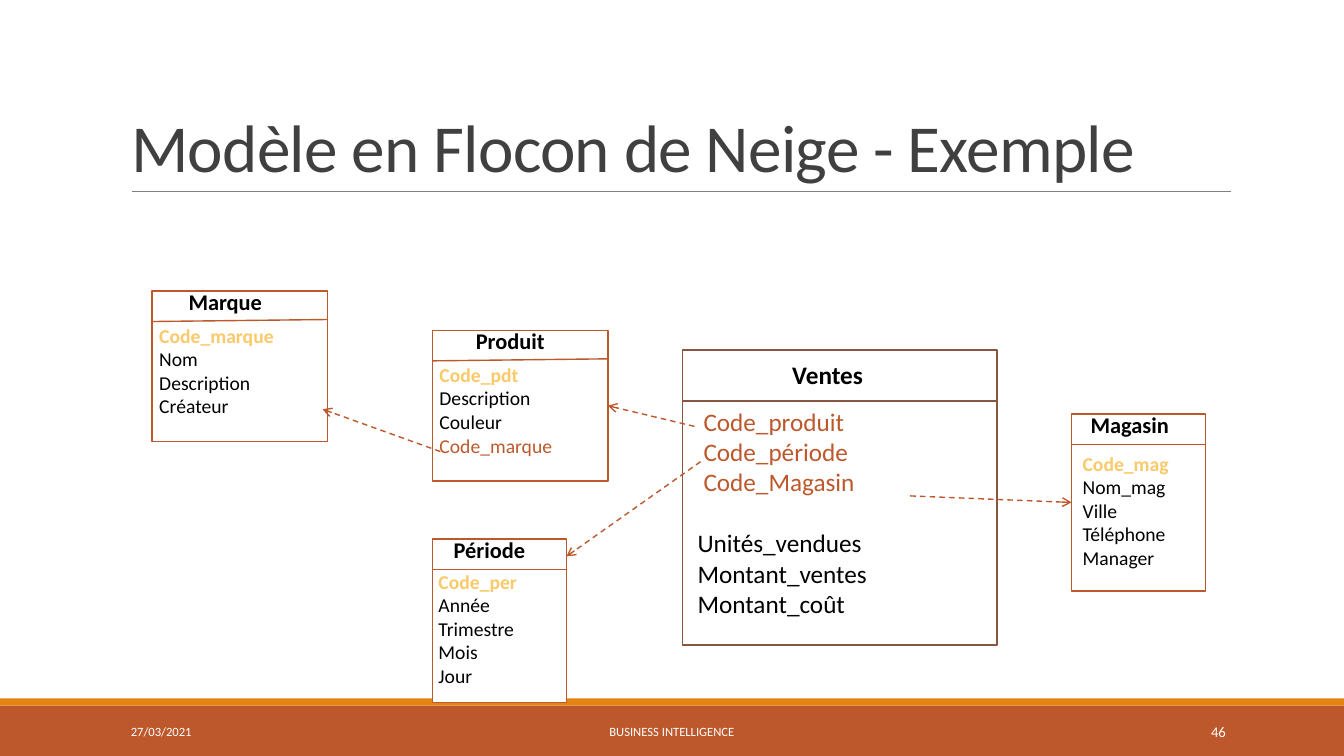
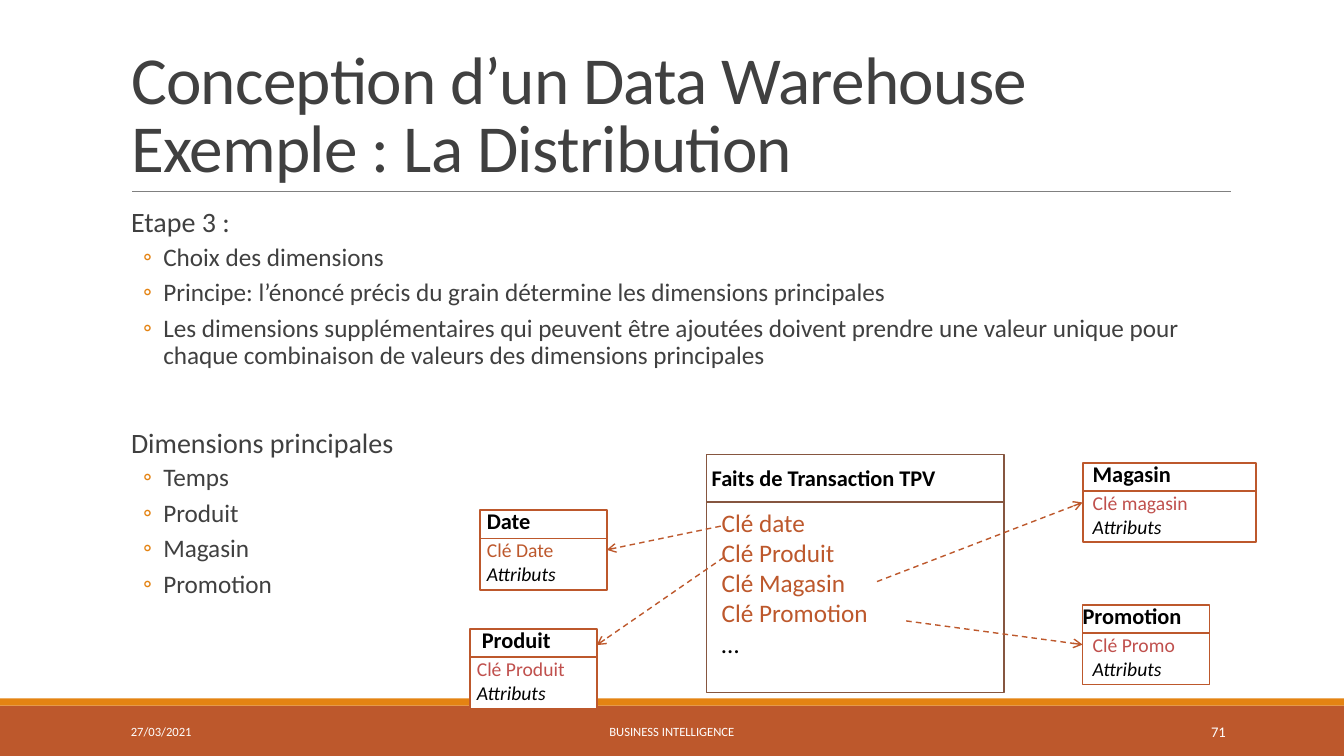
import pptx
import pptx.dml.color
import pptx.enum.dml
import pptx.enum.shapes
import pptx.enum.text
import pptx.oxml
import pptx.oxml.ns
import pptx.util

ANCHOR = pptx.enum.text.MSO_ANCHOR
ALIGN = pptx.enum.text.PP_ALIGN

# The slide is a grid of 133.33 columns by 75 rows; every length counts cells.
COLUMNS, ROWS = 133.33, 75
CELL = 0.1

COLORS = {
    "white": "FFFFFF", "black": "000000", "title": "404040", "rule": "808080",
    "band": "BD582C", "stripe": "E48312", "fact": "865640",
    "key": "FAC96A", "dimension_key": "C0504D",
}

TITLE_FONT = {"size": 48, "color": "title"}
FOOTER_FONT = {"size": 9, "color": "white"}
NUMBER_FONT = {"size": 10.5, "color": "white"}

FIELD_FONTS = {
    "key": {"color": "key", "bold": True},
    "foreign": {"color": "band"},
    "dimension_key": {"color": "dimension_key"},
    "plain": {"color": "black"},
    "italic": {"color": "black", "italic": True},
}

TABLE_STYLES = {
    "fact": {"line": "fact", "title_top": 0.9, "field_size": 18},
    "dimension": {"line": "band", "title_top": -0.3, "field_size": 14},
}

OUTLINE_LEVELS = [
    {"font": {"size": 20, "color": "title"}, "margin": 1, "indent": 0, "bullet": None,
     "format": {"line_spacing": 0.9, "space_before": 12, "space_after": 2}},
    {"font": {"size": 18, "color": "title"}, "margin": 4.2, "indent": -2, "bullet": "◦",
     "format": {"line_spacing": 0.9, "space_before": 2, "space_after": 4}},
]


def cells(count):
    return pptx.util.Inches(count * CELL)


def rgb(name):
    return pptx.dml.color.RGBColor.from_string(COLORS[name])


def set_font(font, values):
    font.name = "Calibri"
    for name, value in values.items():
        if name == "color":
            font.color.rgb = rgb(value)
        else:
            setattr(font, name, pptx.util.Pt(value) if name == "size" else value)


def set_paragraph(paragraph, values):
    for name, value in values.items():
        spacing = name in ("space_before", "space_after")
        setattr(paragraph, name, pptx.util.Pt(value) if spacing else value)


def set_indent(paragraph, margin, indent=0, bullet=None):
    """Set the left margin and first-line indent, with an optional bullet sign."""
    properties = paragraph._p.get_or_add_pPr()
    properties.set("marL", str(cells(margin)))
    properties.set("indent", str(cells(indent)))
    if bullet:
        ns = pptx.oxml.ns.nsdecls("a")
        for xml in (
            f'<a:buClr {ns}><a:srgbClr val="{COLORS["stripe"]}"/></a:buClr>',
            f'<a:buFont {ns} typeface="Calibri"/>',
            f'<a:buChar {ns} char="{bullet}"/>',
        ):
            properties.append(pptx.oxml.parse_xml(xml))


def add_text_box(slide, box, margins=(0, 0), anchor=ANCHOR.TOP):
    frame = slide.shapes.add_textbox(*map(cells, box)).text_frame
    across, down = map(cells, margins)
    for name, value in {
        "word_wrap": True, "vertical_anchor": anchor,
        "margin_left": across, "margin_right": across,
        "margin_top": down, "margin_bottom": down,
    }.items():
        setattr(frame, name, value)
    return frame


def add_paragraph(frame, text, font):
    """Write into the empty first paragraph, or append a new one."""
    first = frame.paragraphs[0]
    paragraph = frame.add_paragraph() if first.runs else first
    run = paragraph.add_run()
    run.text = text
    set_font(run.font, font)
    return paragraph


def add_rectangle(slide, box, fill, line=None):
    rectangle = slide.shapes.add_shape(
        pptx.enum.shapes.MSO_SHAPE.RECTANGLE, *map(cells, box))
    rectangle.shadow.inherit = False
    rectangle.fill.solid()
    rectangle.fill.fore_color.rgb = rgb(fill)
    if line:
        rectangle.line.color.rgb = rgb(line)
        rectangle.line.width = pptx.util.Pt(1.25)
    else:
        rectangle.line.fill.background()
    return rectangle


def add_line(slide, start, end, color, width=1):
    line = slide.shapes.add_connector(
        pptx.enum.shapes.MSO_CONNECTOR.STRAIGHT, *map(cells, (*start, *end)))
    line.line.color.rgb = rgb(color)
    line.line.width = pptx.util.Pt(width)
    line._element.spPr.append(pptx.oxml.parse_xml(
        f'<a:effectLst {pptx.oxml.ns.nsdecls("a")}/>'))
    return line


def add_footer(slide, box, number):
    left, top, width, height = box
    add_rectangle(slide, box, "band")
    add_rectangle(slide, (left, top - 0.7, width, 0.7), "stripe")
    for offset, length, text, font, alignment in (
        (12, 27, "27/03/2021", FOOTER_FONT, ALIGN.LEFT),
        (40.3, 52.7, "BUSINESS INTELLIGENCE", FOOTER_FONT, ALIGN.CENTER),
        (108.3, 14.3, str(number), NUMBER_FONT, ALIGN.RIGHT),
    ):
        frame = add_text_box(slide, (left + offset, top + 0.6, length, height - 1),
                             (1, 0.5), ANCHOR.MIDDLE)
        add_paragraph(frame, text, font).alignment = alignment


def format_title(slide, box, text):
    left, top, width, height = box
    title = slide.shapes.title
    title.left, title.top, title.width, title.height = map(cells, box)
    frame = title.text_frame
    frame.auto_size = pptx.enum.text.MSO_AUTO_SIZE.NONE
    frame.vertical_anchor = ANCHOR.BOTTOM
    frame.text = text
    paragraph = frame.paragraphs[0]
    set_paragraph(paragraph, {"alignment": ALIGN.LEFT, "line_spacing": 0.85})
    for run in paragraph.runs:
        set_font(run.font, TITLE_FONT)
        run.font._element.set("spc", "-50")
    bottom = top + height
    add_line(slide, (left + 1.1, bottom), (left + width + 0.1, bottom), "rule", 0.5)


def add_titled_slide(deck, title, number):
    slide = deck.slides.add_slide(deck.slide_layouts[5])
    add_footer(slide, (0, ROWS - 5, COLUMNS, 5), number)
    format_title(slide, (12, 3.1, 110, 15.9), title)
    return slide


def add_outline(slide, box, items, section_gap):
    """Write (level, text) items; section_gap points open each later section."""
    frame = add_text_box(slide, box, (0, 0.5))
    for index, (level, text) in enumerate(items):
        style = OUTLINE_LEVELS[level]
        paragraph = add_paragraph(frame, text, style["font"])
        set_indent(paragraph, style["margin"], style["indent"], style["bullet"])
        set_paragraph(paragraph, style["format"])
        if level == 0:
            paragraph.space_before = pptx.util.Pt(section_gap if index else 0)


def add_entity(slide, box, kind, head, title, title_left, title_size, fields_at,
               groups, tilt=0, group_gap=0, first_indent=0):
    """Draw a table of the data model: outline, header rule, title and fields.

    fields_at is measured from the left end of the header rule.
    """
    left, top, width, height = box
    style = TABLE_STYLES[kind]
    rule = top + head
    outline = add_rectangle(slide, box, "white", style["line"])
    add_line(slide, (left, rule), (left + width, rule - tilt), style["line"])
    heading = add_text_box(
        slide, (left + title_left, top + style["title_top"], width - title_left, head))
    add_paragraph(heading, title, {"size": title_size, "color": "black", "bold": True})

    across, down = fields_at
    fields = add_text_box(
        slide, (left + across, rule + down, width - across, height - head - down))
    for index, (role, names) in enumerate(groups):
        for position, name in enumerate(names):
            paragraph = add_paragraph(
                fields, name, {"size": style["field_size"], **FIELD_FONTS[role]})
            if index == 0 and first_indent:
                set_indent(paragraph, first_indent)
            if index and position == 0 and group_gap:
                paragraph.space_before = pptx.util.Pt(group_gap)
    return outline


def add_model(slide, entities, links):
    """Draw the entities, then dashed arrows between them.

    A link ends either at a numbered side or at an offset in the target's box.
    """
    outlines = {entity["title"]: add_entity(slide, **entity) for entity in entities}
    boxes = {entity["title"]: entity["box"] for entity in entities}

    def place(title, offset):
        return boxes[title][0] + offset[0], boxes[title][1] + offset[1]

    for source, departure, target, arrival in links:
        joined = isinstance(arrival, int)
        end = place(target, (0, 0) if joined else arrival)
        arrow = add_line(slide, place(source, departure), end, "band")
        if joined:
            arrow.end_connect(outlines[target], arrival)
        arrow.line.dash_style = pptx.enum.dml.MSO_LINE.DASH
        arrow.line._get_or_add_ln().append(pptx.oxml.parse_xml(
            f'<a:tailEnd {pptx.oxml.ns.nsdecls("a")} type="arrow"/>'))


def dimension(title, box, title_left, fields_at, groups, head=3, tilt=0):
    return {"title": title, "box": box, "kind": "dimension", "head": head,
            "title_left": title_left, "title_size": 16, "fields_at": fields_at,
            "groups": groups, "tilt": tilt}


def add_snowflake_slide(deck):
    slide = add_titled_slide(deck, "Modèle en Flocon de Neige - Exemple", 46)
    sales = {
        "title": "Ventes", "box": (67.7, 34.7, 31.2, 29.3), "kind": "fact", "head": 5.1,
        "title_left": 10.9, "title_size": 18, "fields_at": (1.5, 0.5),
        "groups": [("foreign", ["Code_produit", "Code_période", "Code_Magasin"]),
                   ("plain", ["Unités_vendues", "Montant_ventes", "Montant_coût"])],
        "group_gap": 22, "first_indent": 0.6,
    }
    add_model(slide, [
        sales,
        dimension("Produit", (42.9, 32.8, 17.4, 14.9), 4.3, (0.7, 0.2), [
            ("key", ["Code_pdt"]), ("plain", ["Description", "Couleur"]),
            ("foreign", ["Code_marque"])], tilt=0.2),
        dimension("Période", (42.9, 53.5, 13.3, 16.2), 2.1, (0.6, 0), [
            ("key", ["Code_per"]), ("plain", ["Année", "Trimestre", "Mois", "Jour"])]),
        dimension("Magasin", (106.3, 41.1, 13.3, 17.5), 1.9, (1.1, 0.7), [
            ("key", ["Code_mag"]),
            ("plain", ["Nom_mag", "Ville", "Téléphone", "Manager"])]),
        dimension("Marque", (15.1, 28.9, 17.4, 14.9), 3.6, (0.7, 0.2), [
            ("key", ["Code_marque"]),
            ("plain", ["Nom", "Description", "Créateur"])], tilt=0.2),
    ], [
        ("Ventes", (1.2, 7.6), "Produit", 3),
        ("Ventes", (1.8, 11.1), "Période", (13.3, 1.7)),
        ("Ventes", (22.6, 14.5), "Magasin", 1),
        ("Produit", (0.8, 12), "Marque", (16.9, 11.7)),
    ])


def add_distribution_slide(deck):
    slide = add_titled_slide(
        deck, "Conception d’un Data Warehouse\vExemple : La Distribution", 71)
    add_outline(slide, (12, 20.2, 110, 44), [
        (0, "Etape 3 :"),
        (1, "Choix des dimensions"),
        (1, "Principe: l’énoncé précis du grain détermine les dimensions principales"),
        (1, "Les dimensions supplémentaires qui peuvent être ajoutées doivent prendre "
            "une valeur unique pour chaque combinaison de valeurs des dimensions "
            "principales"),
        (0, "Dimensions principales"),
        *((1, name) for name in ("Temps", "Produit", "Magasin", "Promotion")),
    ], section_gap=38)
    facts = {
        "title": "Faits de Transaction TPV", "box": (70.1, 45.1, 29.5, 23.6),
        "kind": "fact", "head": 4.7, "title_left": 0.5, "title_size": 16,
        "fields_at": (1.5, 0.5),
        "groups": [("foreign", ["Clé date", "Clé Produit", "Clé Magasin",
                                "Clé Promotion"]), ("plain", ["…"])],
    }
    add_model(slide, [facts] + [
        dimension(title, (left, top, width, 7.9), title_left, (field_left, 0),
                  [(role, [key]), ("italic", ["Attributs"])], head=2.8)
        for title, left, top, width, title_left, field_left, role, key in (
            ("Date", 47.6, 50.6, 12.6, 0.7, 0.7, "foreign", "Clé Date"),
            ("Produit", 46.6, 62.4, 12.6, 1.2, 0.7, "dimension_key", "Clé Produit"),
            ("Magasin", 107.4, 45.9, 17.2, 1, 1, "dimension_key", "Clé magasin"),
            ("Promotion", 107.4, 60, 12.6, 0, 1, "dimension_key", "Clé Promo"),
        )
    ], [
        (facts["title"], (1.4, 7.1), "Date", 3),
        (facts["title"], (1.7, 10.2), "Produit", (12.6, 1.6)),
        (facts["title"], (16.9, 12.6), "Magasin", 1),
        (facts["title"], (19.8, 16.5), "Promotion", 1),
    ])


def main():
    deck = pptx.Presentation()
    deck.slide_width, deck.slide_height = cells(COLUMNS), cells(ROWS)
    add_snowflake_slide(deck)
    add_distribution_slide(deck)
    deck.save("out.pptx")


if __name__ == "__main__":
    main()
